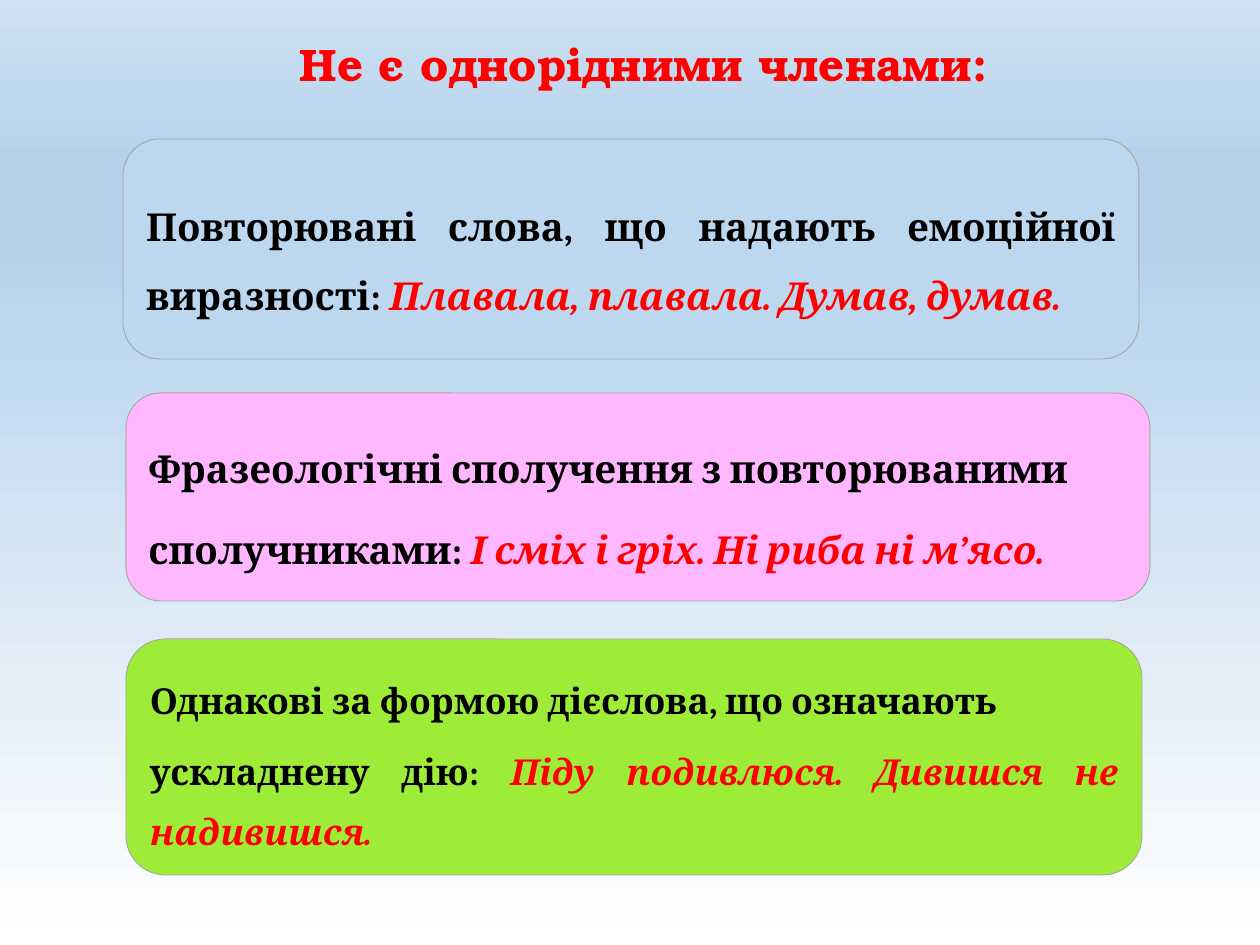
from dataclasses import dataclass

import pptx
import pptx.dml.color
import pptx.enum.shapes
import pptx.enum.text
import pptx.oxml
import pptx.oxml.ns
import pptx.util

PX = pptx.util.Inches(1) // 126
ALIGN = pptx.enum.text.PP_ALIGN
MIDDLE = pptx.enum.text.MSO_ANCHOR.MIDDLE


@dataclass(frozen=True)
class Theme:
    title_font: str = "TeX Gyre Bonum"
    body_font: str = "Cambria"
    title_size: float = 26
    body_size: float = 22
    small_size: float = 20.4
    accent: str = "FF0000"
    text: str = "000000"
    border: str = "A5A5A5"
    blue: str = "BDD7EE"
    pink: str = "FFB7FF"
    green: str = "9FEC38"
    backdrop: tuple = ((0, "FFFFFF"), (74, "B5D2EC"), (83, "B5D2EC"), (100, "CEE1F2"))


@dataclass(frozen=True)
class Card:
    """A rule in black, ending with examples in the accent colour."""
    box: tuple[int, int, int, int]
    fill: str
    size: float
    spacing: float
    rule: tuple[str, ...]
    examples: str


T = Theme()
CARDS = (
    Card((123, 139, 1016, 220), T.blue, T.body_size, 1.5,
         ("Повторювані слова, що надають емоційної виразності: ",),
         "Плавала, плавала. Думав, думав."),
    Card((126, 393, 1024, 208), T.pink, T.body_size, 1.5,
         ("Фразеологічні сполучення з повторюваними", "сполучниками: "),
         "І сміх і гріх. Ні риба ні м’ясо."),
    Card((126, 639, 1016, 236), T.green, T.small_size, 1.4,
         ("Однакові за формою дієслова, що означають", "ускладнену дію: "),
         "Піду подивлюся. Дивишся не надивишся."),
)


def rgb(value: str) -> pptx.dml.color.RGBColor:
    return pptx.dml.color.RGBColor.from_string(value)


def style(r, font: str, size: float, color: str, italic: bool = False) -> None:
    r.font.name, r.font.size = font, pptx.util.Pt(size)
    r.font.bold, r.font.italic = True, italic
    r.font.color.rgb = rgb(color)


def paint_background(s) -> None:
    fill = s.background.fill
    fill.gradient()
    fill.gradient_angle = 90
    # The four colour stops replace the default pair
    stops = "".join(f'<a:gs pos="{pos * 1000}"><a:srgbClr val="{color}"/></a:gs>'
                    for pos, color in T.backdrop)
    new = pptx.oxml.parse_xml(
        f'<a:gsLst {pptx.oxml.ns.nsdecls("a")}>{stops}</a:gsLst>')
    old = next(s.element.iter(pptx.oxml.ns.qn("a:gsLst")))
    old.getparent().replace(old, new)


def draw_title(s, text: str) -> None:
    sp = s.shapes.title
    sp.left, sp.top, sp.width, sp.height = (v * PX for v in (94, 16, 1045, 102))
    tf = sp.text_frame
    tf.text = text
    tf.vertical_anchor = MIDDLE
    tf.margin_left = 68 * PX
    p = tf.paragraphs[0]
    p.alignment, p.line_spacing = ALIGN.CENTER, 0.9
    style(p.runs[0], T.title_font, T.title_size, T.accent)


def draw_card(s, card: Card) -> None:
    sp = s.shapes.add_shape(pptx.enum.shapes.MSO_SHAPE.ROUNDED_RECTANGLE,
                            *(v * PX for v in card.box))
    sp.shadow.inherit = False
    sp.fill.solid()
    sp.fill.fore_color.rgb = rgb(card.fill)
    sp.line.color.rgb = rgb(T.border)
    sp.line.width = pptx.util.Pt(0.5)
    tf = sp.text_frame
    tf.word_wrap = True
    tf.vertical_anchor = MIDDLE
    tf.text = "\n".join(card.rule)
    for i, p in enumerate(tf.paragraphs):
        p.alignment, p.line_spacing = ALIGN.JUSTIFY, card.spacing
        if i:
            p.space_before = pptx.util.Pt(6.5)
        style(p.runs[0], T.body_font, card.size, T.text)
    r = tf.paragraphs[-1].add_run()
    r.text = card.examples
    style(r, T.body_font, card.size, T.accent, italic=True)


def main() -> None:
    prs = pptx.Presentation()
    prs.slide_width, prs.slide_height = 1260 * PX, 945 * PX
    s = prs.slides.add_slide(prs.slide_layouts.get_by_name("Title Only"))
    paint_background(s)
    draw_title(s, "Не є однорідними членами:")
    for card in CARDS:
        draw_card(s, card)
    prs.save("out.pptx")


if __name__ == "__main__":
    main()
